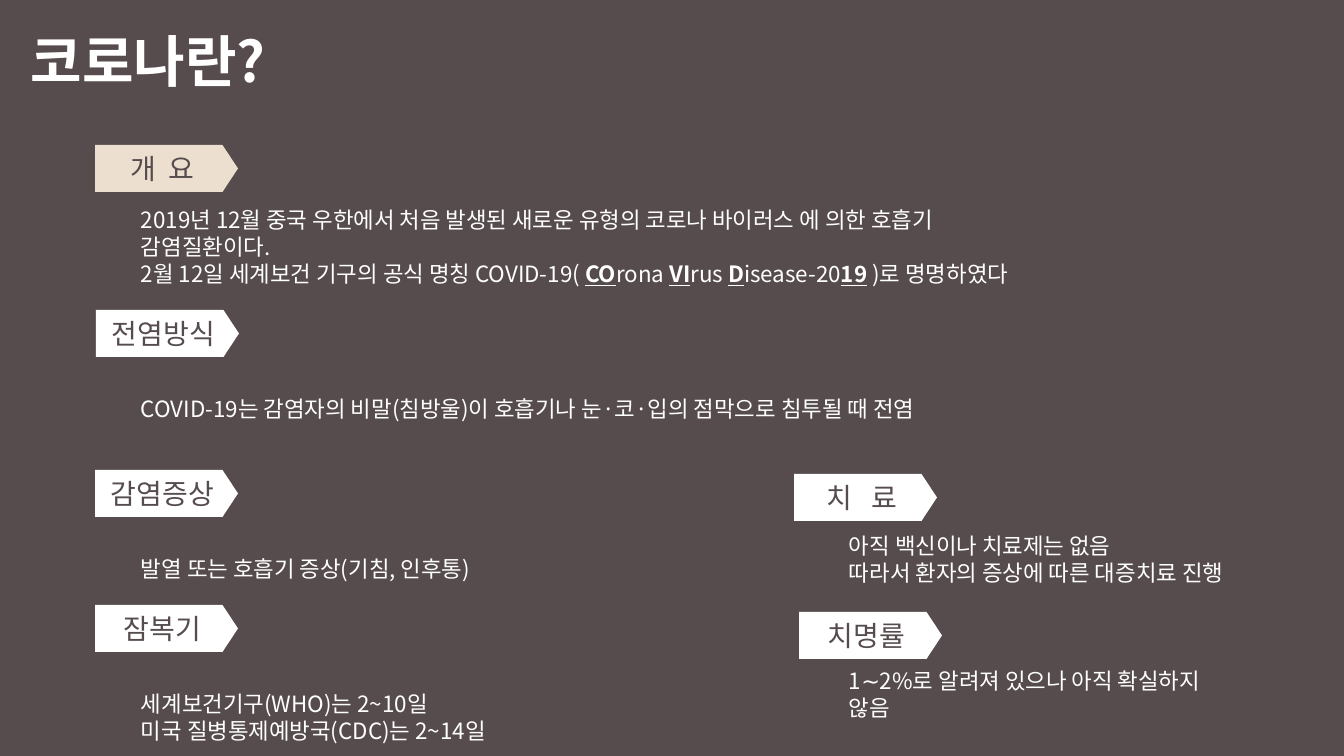
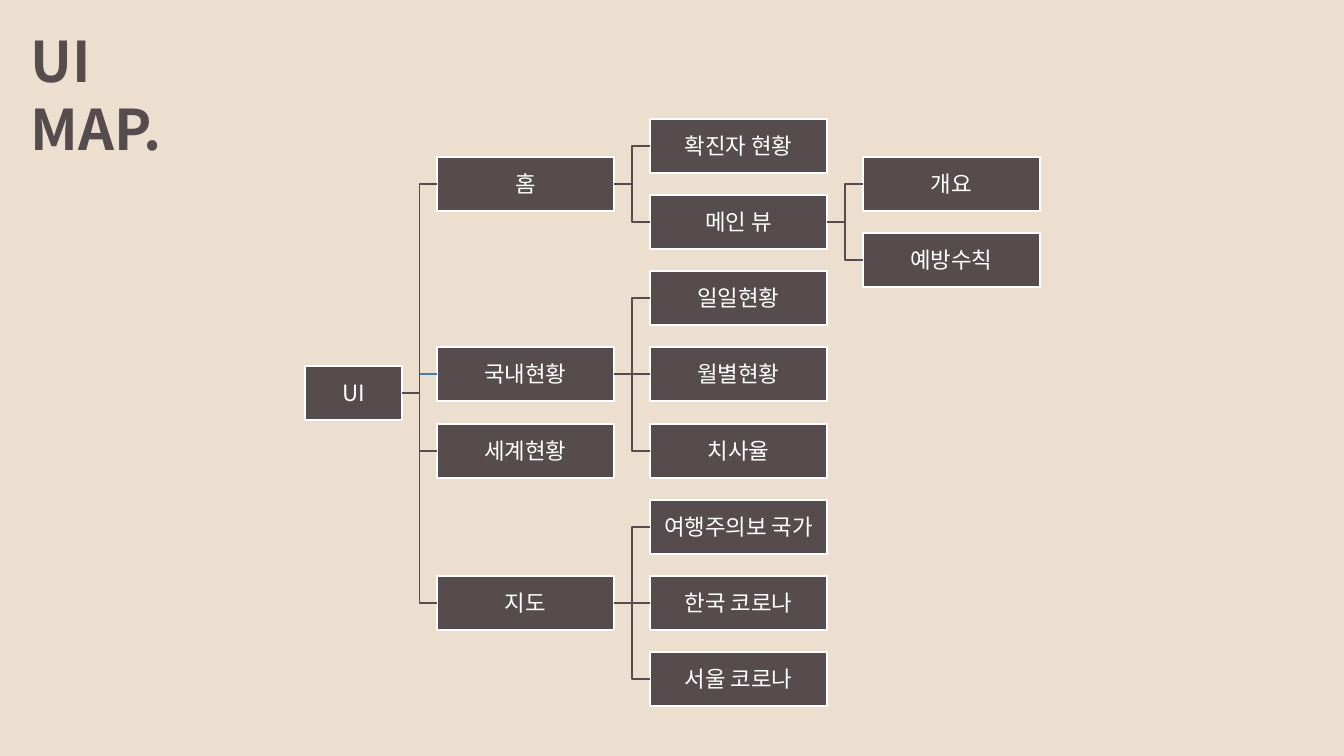
from lxml.etree import SubElement
from pptx import Presentation
from pptx.dml.color import RGBColor
from pptx.enum.shapes import MSO_CONNECTOR, MSO_SHAPE
from pptx.enum.text import MSO_ANCHOR, PP_ALIGN
from pptx.oxml.ns import qn
from pptx.util import Emu, Pt

WIDE, HIGH = 1344, 756
FONT = "Noto Sans CJK KR"
DARK, SAND, WHITE, BLUE = "564C4D", "ECDFCF", "FFFFFF", "497CAB"

TITLES = [("코로나란?", 300, DARK, WHITE), ("UI MAP.", 165, SAND, DARK)]
NAME = [
    ("2월 12일 세계보건 기구의 공식 명칭 COVID-19( ", False),
    ("CO", True), ("rona ", False), ("VI", True), ("rus ", False),
    ("D", True), ("isease-20", False), ("19", True),
    (" )로 명명하였다", False),
]
TOPICS = [
    ("개 요", 225, 95, 145, SAND, 141, 206, [
        "2019년 12월 중국 우한에서 처음 발생된 새로운 유형의 코로나 바이러스 에 의한 호흡기 감염질환이다.",
        NAME]),
    ("전염방식", 0, 96, 310, WHITE, 141, 395, [
        "COVID-19는 감염자의 비말(침방울)이 호흡기나 눈·코·입의 점막으로 침투될 때 전염"]),
    ("감염증상", 0, 95, 470, WHITE, 141, 555, [
        "발열 또는 호흡기 증상(기침, 인후통)"]),
    ("잠복기", 0, 95, 605, WHITE, 141, 690, [
        "세계보건기구(WHO)는 2~10일",
        "미국 질병통제예방국(CDC)는 2~14일"]),
    ("치 료", 450, 794, 474, WHITE, 849, 532, [
        "아직 백신이나 치료제는 없음",
        "따라서 환자의 증상에 따른 대증치료 진행"]),
    ("치명률", 0, 799, 612, WHITE, 849, 667, [
        "1∼2%로 알려져 있으나 아직 확실하지 않음"]),
]
NODES = [
    ("UI", 0, 3.25, None),
    ("홈", 1, 0.5, "UI"),
    ("국내현황", 1, 3, "UI"),
    ("세계현황", 1, 4, "UI"),
    ("지도", 1, 6, "UI"),
    ("확진자 현황", 2, 0, "홈"),
    ("메인 뷰", 2, 1, "홈"),
    ("일일현황", 2, 2, "국내현황"),
    ("월별현황", 2, 3, "국내현황"),
    ("치사율", 2, 4, "국내현황"),
    ("여행주의보 국가", 2, 5, "지도"),
    ("한국 코로나", 2, 6, "지도"),
    ("서울 코로나", 2, 7, "지도"),
    ("개요", 3, 0.5, "메인 뷰"),
    ("예방수칙", 3, 1.5, "메인 뷰"),
]


def px(n):
    return Emu(round(n * 12192000 / WIDE))


def color(code):
    return RGBColor.from_string(code)


def add_run(para, text, size, ink, bold=False, line=False, gap=0):
    run = para.add_run()
    run.text = text
    font = run.font
    font.size, font.name, font.bold = Pt(size), FONT, bold
    font.underline = line
    font.color.rgb = color(ink)
    props = run._r.get_or_add_rPr()
    SubElement(props, qn("a:ea")).set("typeface", FONT)
    if gap:
        props.set("spc", str(gap))


def set_box(frame, pad, wrap=True):
    frame.word_wrap = wrap
    frame.margin_left = frame.margin_right = px(pad)
    frame.margin_top = frame.margin_bottom = px(pad)


def add_text(slide, x, y, w, h):
    frame = slide.shapes.add_textbox(px(x), px(y), px(w), px(h)).text_frame
    set_box(frame, 0)
    return frame


def add_block(slide, kind, spot, fill, edge, text, size, ink, gap=0):
    block = slide.shapes.add_shape(kind, *map(px, spot))
    block.shadow.inherit = False
    block.fill.solid()
    block.fill.fore_color.rgb = color(fill)
    if edge:
        block.line.color.rgb = color(edge)
        block.line.width = Pt(1)
    else:
        block.line.fill.background()
    frame = block.text_frame
    set_box(frame, 1)
    frame.vertical_anchor = MSO_ANCHOR.MIDDLE
    para = frame.paragraphs[0]
    para.alignment = PP_ALIGN.CENTER
    add_run(para, text, size, ink, gap=gap)
    return block


def add_slide(deck, title, width, back, ink):
    slide = deck.slides.add_slide(deck.slide_layouts[6])
    slide.background.fill.solid()
    slide.background.fill.fore_color.rgb = color(back)
    frame = add_text(slide, 31, 27, width, 68)
    add_run(frame.paragraphs[0], title, 40, ink, True)
    return slide


def add_topic(slide, label, gap, x, y, fill, left, top, lines):
    tag = add_block(slide, MSO_SHAPE.PENTAGON, (x, y, 143, 47), fill, None,
                    label, 20, DARK, gap)
    tag.adjustments[0] = 0.33
    width = 918 if left < WIDE / 2 else 395
    frame = add_text(slide, left, top, width, 27 * len(lines))
    for i, line in enumerate(lines):
        para = frame.add_paragraph() if i else frame.paragraphs[0]
        parts = [(line, False)] if isinstance(line, str) else line
        for text, mark in parts:
            add_run(para, text, 16, WHITE, mark, mark)


def add_link(slide, start, end, ink):
    kind = MSO_CONNECTOR.STRAIGHT if start.top == end.top else MSO_CONNECTOR.ELBOW
    link = slide.shapes.add_connector(kind, 0, 0, 0, 0)
    link.begin_connect(start, 3)
    link.end_connect(end, 1)
    link.line.color.rgb = color(ink)
    link.line.width = Pt(1)
    SubElement(link._element.spPr, qn("a:effectLst"))


def add_tree(slide):
    boxes = {}
    for name, col, row, _ in NODES:
        x = 437 + 213 * (col - 1) if col else 305
        spot = (x, 119 + round(row * 533 / 7), 177 if col else 97, 54)
        boxes[name] = add_block(slide, MSO_SHAPE.RECTANGLE, spot, DARK, WHITE,
                                name, 16, WHITE)
    for name, _, _, root in reversed(NODES):
        if root:
            ink = BLUE if name == "국내현황" else DARK
            add_link(slide, boxes[root], boxes[name], ink)


def main():
    deck = Presentation()
    deck.slide_width, deck.slide_height = px(WIDE), px(HIGH)
    about, tree = [add_slide(deck, *title) for title in TITLES]
    for topic in TOPICS:
        add_topic(about, *topic)
    add_tree(tree)
    deck.save("out.pptx")


if __name__ == "__main__":
    main()
